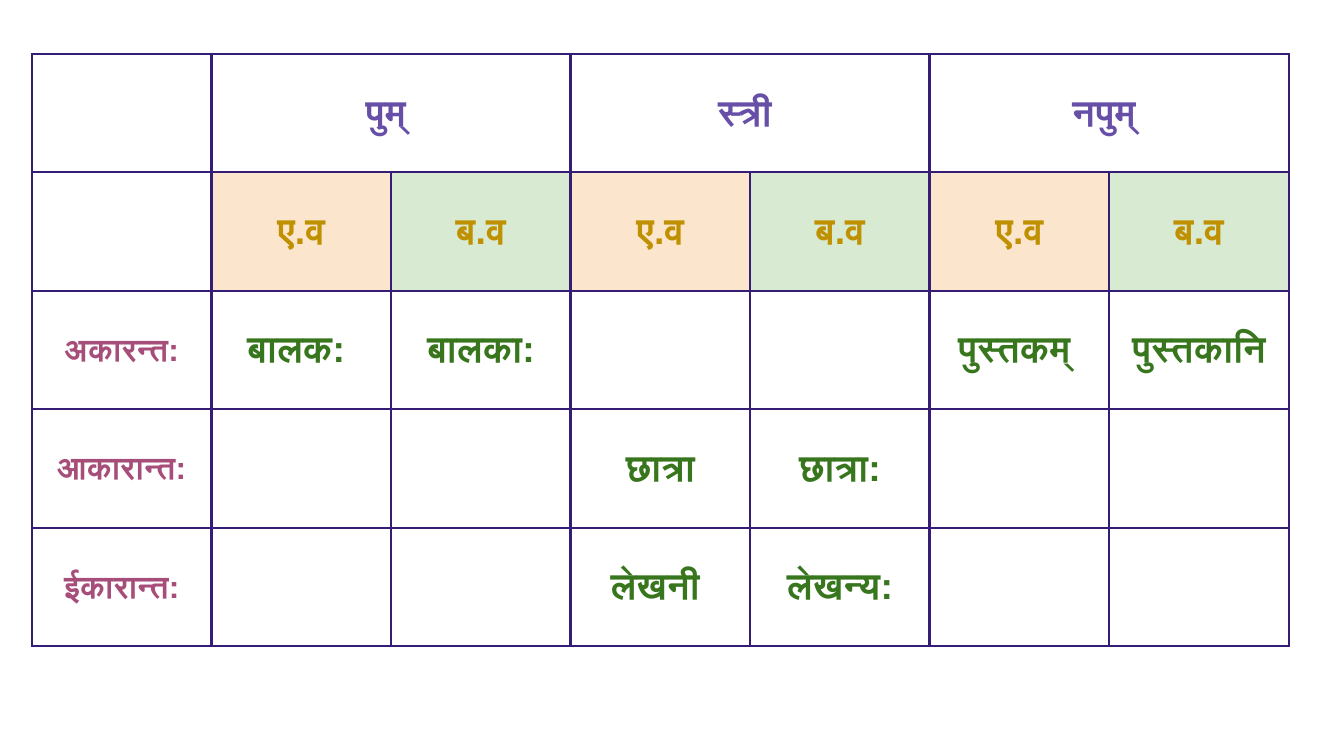
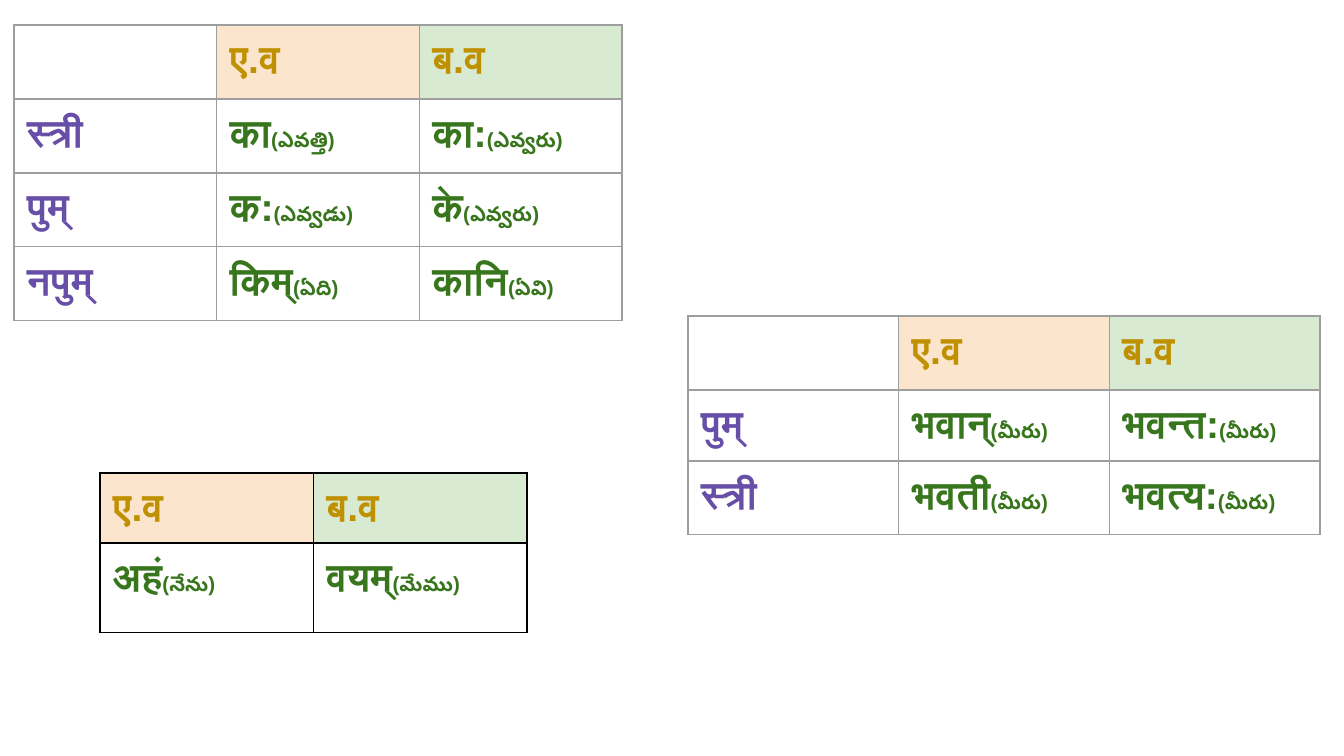
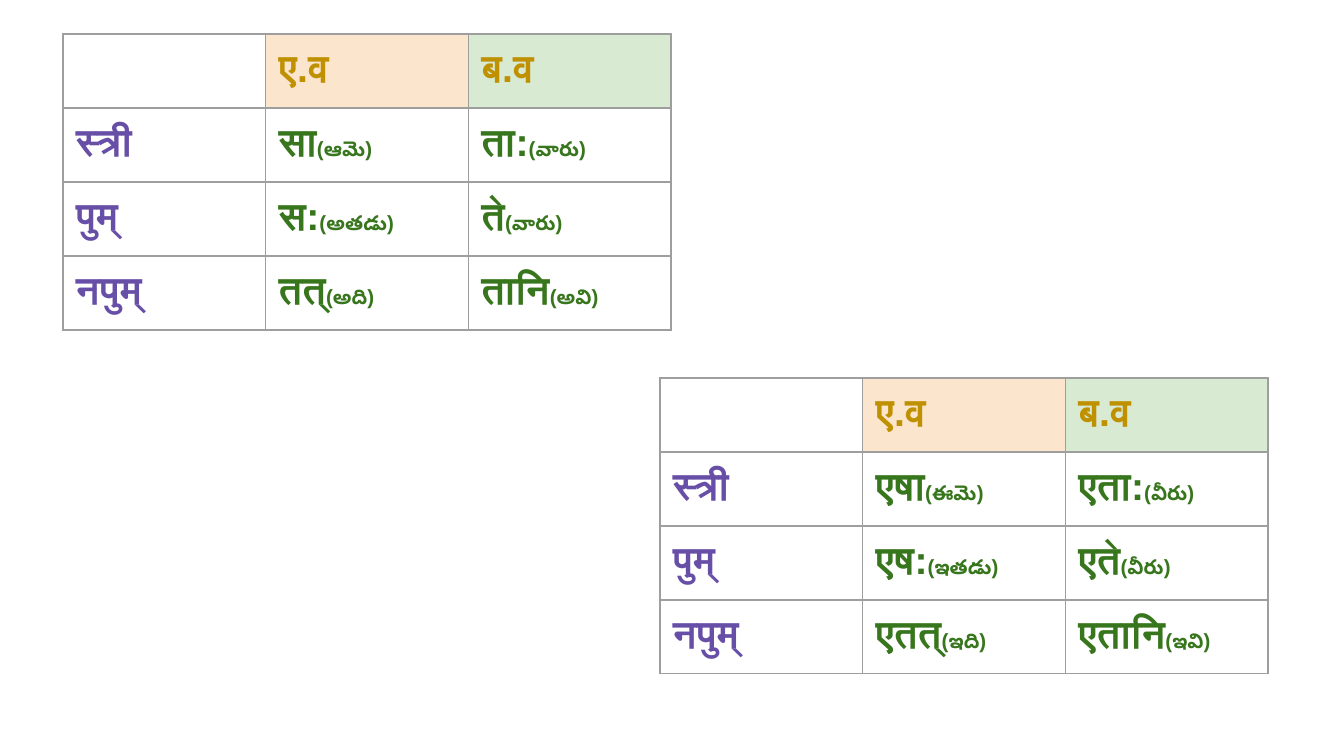
"""Build three slides of Sanskrit gender and number tables."""
from dataclasses import dataclass
from typing import Optional

from lxml.etree import SubElement as Sub
from pptx import Presentation
from pptx.dml.color import RGBColor as RGB
from pptx.enum.text import MSO_ANCHOR as Anchor, PP_ALIGN as Align
from pptx.oxml.ns import qn
from pptx.slide import Slide
from pptx.table import _Cell as Cell
from pptx.util import Emu, Pt

SCALE = 914400 / 134.4
FACE = "Arial"

VIOLET = RGB(0x67, 0x4E, 0xA7)
OCHRE = RGB(0xBF, 0x90, 0x00)
GREEN = RGB(0x38, 0x76, 0x1D)
MAUVE = RGB(0xA6, 0x4D, 0x79)
PEACH = RGB(0xFC, 0xE5, 0xCD)
MINT = RGB(0xD9, 0xEA, 0xD3)
INDIGO = RGB(0x35, 0x1C, 0x75)
GRAY = RGB(0x9E, 0x9E, 0x9E)
BLACK = RGB(0x00, 0x00, 0x00)

ONE, MANY = "ए.व", "ब.व"
FILLS = {ONE: PEACH, MANY: MINT}
HEAD = ("", ONE, MANY)
FEM, MASC, NEUT = "स्त्री", "पुम्", "नपुम्"
GLOSS = 11


def px(size: float) -> Emu:
    """Turn pixels into EMU."""
    return Emu(round(size * SCALE))


PAD = {f"margin_{side}": px(13) for side in ("left", "right", "top", "bottom")}
TOP = {**PAD, "vertical_anchor": Anchor.TOP}
MID = {**PAD, "vertical_anchor": Anchor.MIDDLE}
PLAIN = {"first_row": False, "horz_banding": False}


@dataclass(frozen=True)
class Tone:
    """Size and colour of cell text."""
    color: RGB
    size: int = 21


@dataclass(frozen=True)
class Grid:
    """Place, look and words of one table."""
    left: int
    top: int
    wide: int
    rows: tuple[int, ...]
    words: tuple[tuple[str, ...], ...]
    heads: tuple[Tone, ...] = (Tone(OCHRE),)
    stub: Optional[Tone] = Tone(VIOLET)
    body: Tone = Tone(GREEN)
    line: RGB = GRAY
    weight: float = 0.75
    center: bool = False
    pairs: tuple[int, ...] = ()

    def tone(self, row: int, col: int) -> Tone:
        """Pick the tone of a cell from its place."""
        if row < len(self.heads):
            return self.heads[row]
        return self.stub if self.stub and col == 0 else self.body


def border(cell: Cell, color: RGB, weight: float) -> None:
    """Draw all four sides of a cell."""
    props = cell._tc.get_or_add_tcPr()
    for side in "LRTB":
        edge = Sub(props, qn(f"a:ln{side}"), w=str(Pt(weight)))
        Sub(Sub(edge, qn("a:solidFill")), qn("a:srgbClr"), val=str(color))


def write(cell: Cell, text: str, tone: Tone, center: bool) -> None:
    """Write runs split by bars, with glosses in small type."""
    para = cell.text_frame.paragraphs[0]
    para.alignment = Align.CENTER if center else Align.LEFT
    for part in text.split("|"):
        run = para.add_run()
        run.text = part
        size = GLOSS if part.startswith("(") else tone.size
        look = {"name": FACE, "size": Pt(size), "bold": True}
        for key, value in look.items():
            setattr(run.font, key, value)
        run.font.color.rgb = tone.color
        for tag in ("a:ea", "a:cs"):
            Sub(run.font._element, qn(tag), typeface=FACE)


def draw(slide: Slide, grid: Grid) -> None:
    """Add one table to a slide."""
    count = len(grid.words[0])
    table = slide.shapes.add_table(
        len(grid.rows), count, px(grid.left), px(grid.top),
        px(grid.wide), px(sum(grid.rows))).table
    for key, value in PLAIN.items():
        setattr(table, key, value)
    for col in table.columns:
        col.width = px(grid.wide / count)
    for row, high in zip(table.rows, grid.rows):
        row.height = px(high)
    for r, line in enumerate(grid.words):
        for c, text in enumerate(line):
            cell = table.cell(r, c)
            for key, value in (MID if grid.center else TOP).items():
                setattr(cell, key, value)
            border(cell, grid.line, grid.weight)
            if text in FILLS:
                cell.fill.solid()
                cell.fill.fore_color.rgb = FILLS[text]
            else:
                cell.fill.background()
            if text:
                write(cell, text, grid.tone(r, c), grid.center)
    for c in grid.pairs:
        table.cell(0, c).merge(table.cell(0, c + 1))


FOUR = (74,) * 4

NOUNS = Grid(
    32, 54, 1257, (118, 119, 118, 119, 118),
    (("", "पुम् ", "", "स्त्री ", "", "नपुम् ", ""),
     ("",) + (ONE, MANY) * 3,
     ("अकारन्त:", "बालक: ", "बालका:", "", "", "पुस्तकम् ", "पुस्तकानि"),
     ("आकारान्त:", "", "", "छात्रा", "छात्रा:", "", ""),
     ("ईकारान्त:", "", "", "लेखनी ", "लेखन्य:", "", "")),
    heads=(Tone(VIOLET, 20), Tone(OCHRE, 20)), stub=Tone(MAUVE, 17),
    body=Tone(GREEN, 20), line=INDIGO, weight=1.5, center=True,
    pairs=(1, 3, 5))

WHO = Grid(
    14, 25, 608, FOUR,
    (HEAD,
     (FEM, "का|(ఎవత్తి)", "का:|(ఎవ్వరు)"),
     (MASC, "क:|(ఎవ్వడు)", "के|(ఎవ్వరు)"),
     (NEUT, "किम्|(ఏది)", "कानि|(ఏవి)| ")))

SELF = Grid(
    100, 473, 427, (70, 90),
    (HEAD[1:], ("अहं|(నేను)| ", "वयम्|(మేము)")),
    stub=None, line=BLACK)

YOU = Grid(
    688, 316, 632, (74, 71, 74),
    (HEAD,
     (MASC, "भवान्|(మీరు)| ", "भवन्त:|(మీరు)"),
     (FEM, "भवती|(మీరు)", "भवत्य:|(మీరు)")))

THAT = Grid(
    63, 34, 608, FOUR,
    (HEAD,
     (FEM, "सा|(ఆమె)", "ता:|(వారు)"),
     (MASC, "स:|(అతడు)", "ते|(వారు)"),
     (NEUT, "तत्|(అది)", "तानि|(అవి)| ")))

THIS = Grid(
    660, 378, 608, FOUR,
    (HEAD,
     (FEM, "एषा|(ఈమె)", "एता:|(వీరు)"),
     (MASC, "एष:|(ఇతడు)", "एते|(వీరు)"),
     (NEUT, "एतत्|(ఇది)", "एतानि|(ఇవి)| ")))

DECK = ((NOUNS,), (WHO, SELF, YOU), (THAT, THIS))


def main() -> None:
    """Build and save the deck."""
    deck = Presentation()
    deck.slide_width, deck.slide_height = px(1344), px(756)
    for grids in DECK:
        slide = deck.slides.add_slide(deck.slide_layouts[6])
        for grid in grids:
            draw(slide, grid)
    deck.save("out.pptx")


if __name__ == "__main__":
    main()
